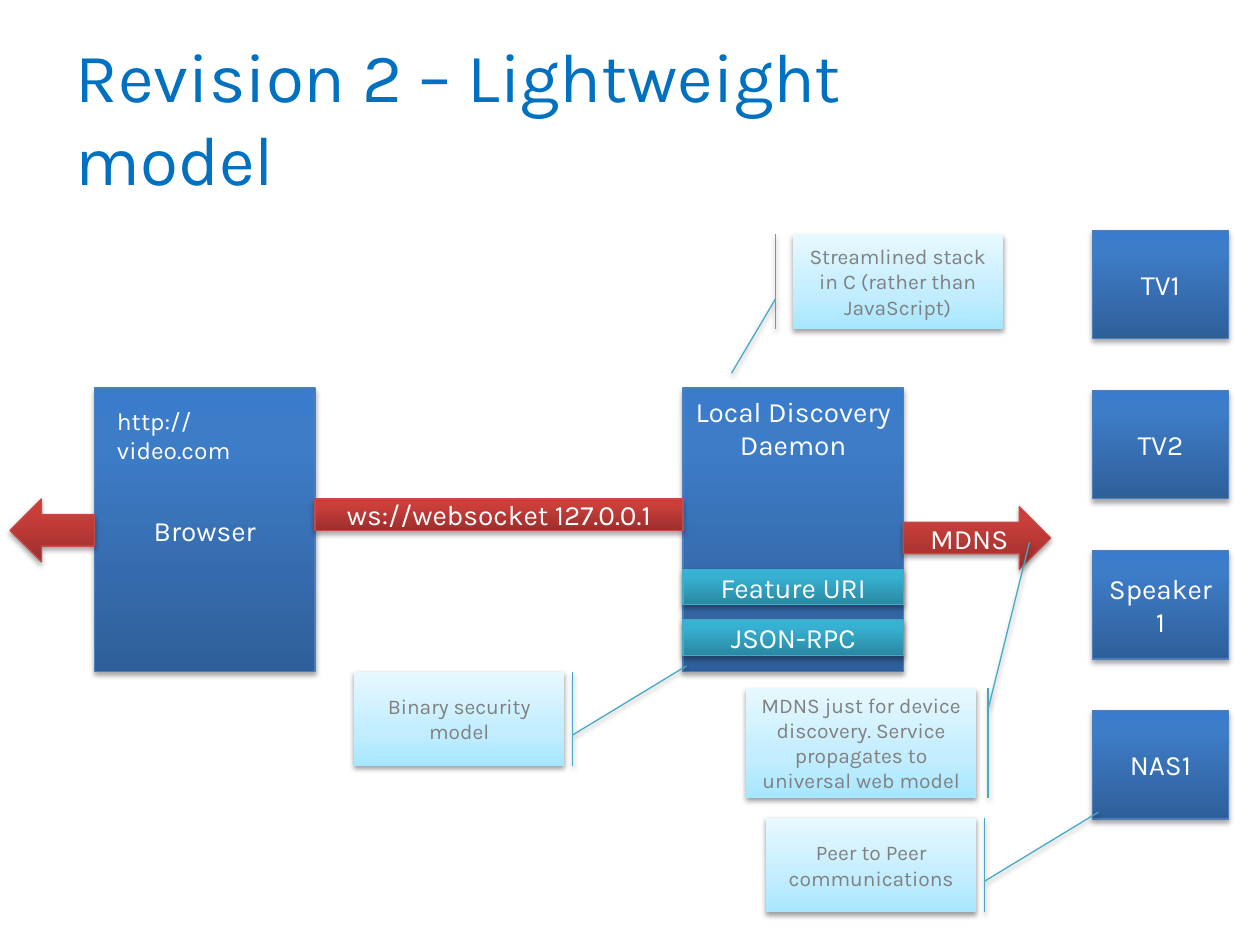
from lxml import etree
from pptx import Presentation
from pptx import util as u
from pptx.dml.color import RGBColor
from pptx.enum import shapes, text
from pptx.oxml import ns

THEME = {
    "font": "Karla",
    "title": (39.6, "0070C0"),
    "label": (16, "FFFFFF"),
    "address": (14, "FFFFFF"),
    "note": (12, "808080"),
    "blue": ([(0, "2F5F99"), (80, "3D7CC7"), (100, "3A7CCB")], "4B7EBC", 1.8, 35),
    "red": ([(0, "9C2F2D"), (80, "CB3E3A"), (100, "CE3B37")], "BF4C48", 1.8, 35),
    "teal": ([(0, "2A88A2"), (80, "37B1D2"), (100, "34B4D6")], "46AAC5", 1.8, 35),
    "pale": ([(0, "A7E6FF"), (35, "C1EDFF"), (100, "E7F8FF")], "46AAC5", 1.6, 38),
}

KIND = shapes.MSO_SHAPE
MIDDLE, TOP = text.MSO_ANCHOR.MIDDLE, text.MSO_ANCHOR.TOP
CENTER, LEFT = text.PP_ALIGN.CENTER, text.PP_ALIGN.LEFT

TITLE = "Revision 2 – Lightweight model"
ADDRESS = "http://video.com"
DEVICES = ["TV1", "TV2", "Speaker1", "NAS1"]
DAEMON_LAYERS = ["Feature URI", "JSON-RPC"]
BROWSER_AT = (0.75, 3.08, 1.75, 2.25)
DAEMON_AT = (5.42, 3.08, 1.75, 2.25)
LINKS = [
    (KIND.LEFT_ARROW, "", (0.08, 3.96, 0.67, 0.5)),
    (KIND.RECTANGLE, "ws://websocket 127.0.0.1", (2.5, 3.96, 2.92, 0.25)),
    (KIND.RIGHT_ARROW, "MDNS", (7.17, 4.02, 1.17, 0.5)),
]
LOWER_POINTER = (0.67, 1.04, -0.06, 1.58)
NOTES = [
    ("Streamlined stack in C (rather than JavaScript)",
     (6.29, 1.86, 1.67, 0.75), (0.68, -0.08, 1.47, -0.29)),
    ("Binary security model", (2.81, 5.33, 1.67, 0.75), LOWER_POINTER),
    ("Peer to Peer communications", (6.08, 6.49, 1.67, 0.75), LOWER_POINTER),
    ("MDNS just for device discovery. Service propagates to universal web model",
     (5.92, 5.46, 1.83, 0.87), (0.2, 1.05, -1.33, 1.23)),
]


def inches(area):
    return [u.Inches(value) for value in area]


def write(shape, words, role, align=CENTER, anchor=MIDDLE):
    size, color = THEME[role]
    frame = shape.text_frame
    frame.word_wrap = True
    frame.vertical_anchor = anchor
    frame.text = words
    para = frame.paragraphs[0]
    para.alignment = align
    para.font.name = THEME["font"]
    para.font.size = u.Pt(size)
    para.font.color.rgb = RGBColor.from_string(color)


def add_color(parent, color):
    return etree.SubElement(parent, ns.qn("a:srgbClr"), val=color)


def paint(shape, look):
    stops, line, distance, opacity = THEME[look]
    properties = shape.element.spPr
    gradient = etree.SubElement(properties, ns.qn("a:gradFill"), rotWithShape="1")
    stop_list = etree.SubElement(gradient, ns.qn("a:gsLst"))
    for position, color in stops:
        stop = etree.SubElement(stop_list, ns.qn("a:gs"), pos=str(position * 1000))
        add_color(stop, color)
    etree.SubElement(gradient, ns.qn("a:lin"), ang="16200000", scaled="0")
    shape.line.color.rgb = RGBColor.from_string(line)
    shape.line.width = u.Pt(0.75)
    effects = etree.SubElement(properties, ns.qn("a:effectLst"))
    shadow = etree.SubElement(
        effects, ns.qn("a:outerShdw"), blurRad=str(u.Pt(3.1)),
        dist=str(u.Pt(distance)), dir="5400000", rotWithShape="0")
    etree.SubElement(add_color(shadow, "000000"), ns.qn("a:alpha"), val=str(opacity * 1000))


def add_block(page, kind, words, area, look, role="label", anchor=MIDDLE):
    shape = page.shapes.add_shape(kind, *inches(area))
    paint(shape, look)
    if words:
        write(shape, words, role, anchor=anchor)
    return shape


def main():
    deck = Presentation()
    deck.slide_width, deck.slide_height = inches((10, 7.5))
    page = deck.slides.add_slide(deck.slide_layouts[5])

    title = page.shapes.title
    title.left, title.top, title.width, title.height = inches((0.5, 0.3, 6.83, 1.25))
    write(title, TITLE, "title", LEFT)
    title.text_frame.auto_size = text.MSO_AUTO_SIZE.NONE

    add_block(page, KIND.RECTANGLE, "Browser", BROWSER_AT, "blue")
    address = page.shapes.add_textbox(*inches((0.83, 3.17, 1.58, 0.34)))
    write(address, ADDRESS, "address", LEFT, TOP)
    add_block(page, KIND.RECTANGLE, "Local Discovery Daemon", DAEMON_AT, "blue", anchor=TOP)

    for kind, words, area in LINKS:
        add_block(page, kind, words, area, "red")
    for row, name in enumerate(DEVICES):
        add_block(page, KIND.RECTANGLE, name, (8.67, 1.83 + row * 1.27, 1.08, 0.86), "blue")
    for row, name in enumerate(DAEMON_LAYERS):
        add_block(page, KIND.RECTANGLE, name,
                  (DAEMON_AT[0], 4.52 + row * 0.4, DAEMON_AT[2], 0.28), "teal")
    for words, area, pointer in NOTES:
        note = add_block(page, KIND.LINE_CALLOUT_1_ACCENT_BAR, words, area, "pale", "note")
        for index, value in enumerate(pointer):
            note.adjustments[index] = value

    deck.save("out.pptx")


if __name__ == "__main__":
    main()
